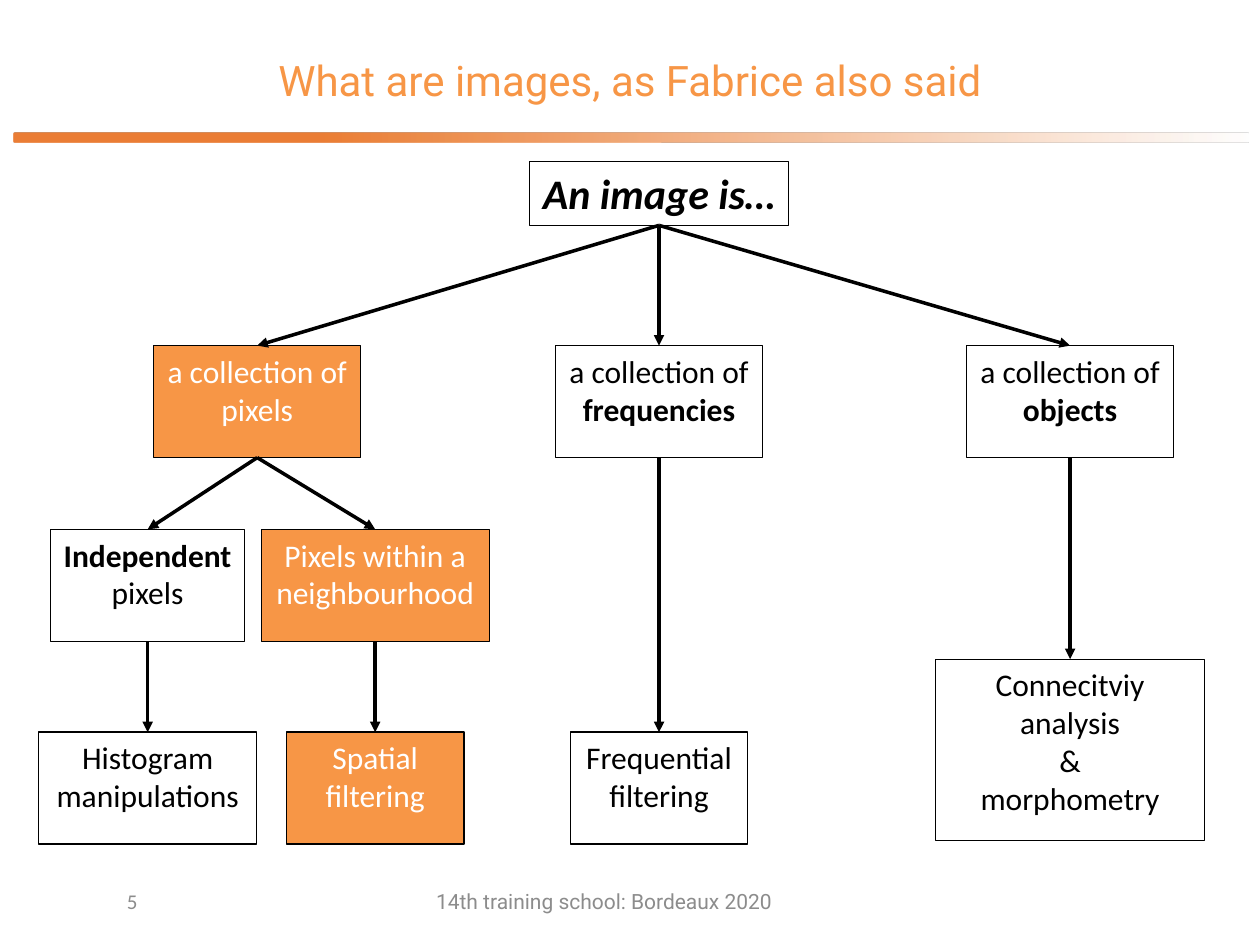
import pptx
import pptx.util
import pptx.dml.color
import pptx.enum.shapes
import pptx.enum.text
import pptx.oxml
import pptx.oxml.ns

Pt = pptx.util.Pt
RGBColor = pptx.dml.color.RGBColor
ANCHOR = pptx.enum.text.MSO_ANCHOR
ALIGN = pptx.enum.text.PP_ALIGN
SHAPE = pptx.enum.shapes.MSO_SHAPE

BLACK = RGBColor(0x00, 0x00, 0x00)
WHITE = RGBColor(0xFF, 0xFF, 0xFF)
ORANGE = RGBColor(0xF7, 0x96, 0x46)
RULE_ORANGE = RGBColor(0xE6, 0x5D, 0x00)
GREY = RGBColor(0x8C, 0x8C, 0x8C)

BOTTOM, TOP = 2, 0  # connection sites of a rectangle


def write(frame, text, *, size=18, font="Calibri", color=BLACK, align=ALIGN.CENTER,
          anchor=ANCHOR.TOP, bold_lines=(), italic=False):
    """Fill a text frame, one paragraph per line of text."""
    frame.word_wrap = True
    frame.auto_size = pptx.enum.text.MSO_AUTO_SIZE.NONE
    frame.vertical_anchor = anchor
    frame.margin_left = frame.margin_right = Pt(7.2)
    frame.margin_top = frame.margin_bottom = Pt(3.6)
    for index, line in enumerate(text.split("\n")):
        paragraph = frame.paragraphs[0] if index == 0 else frame.add_paragraph()
        paragraph.alignment = align
        run = paragraph.add_run()
        run.text = line
        run.font.size = Pt(size)
        run.font.name = font
        run.font.color.rgb = color
        run.font.bold = index in bold_lines
        run.font.italic = italic


def add_header(slide, left, top, width, height):
    # Title
    title = slide.shapes.title
    title.left, title.top = Pt(left), Pt(top)
    title.width, title.height = Pt(width), Pt(height)
    write(title.text_frame, "What are images, as Fabrice also said", size=24,
          font="Roboto", color=ORANGE, anchor=ANCHOR.MIDDLE)

    # Fading rule below the title
    rule = slide.shapes.add_shape(SHAPE.ROUNDED_RECTANGLE, Pt(left - 28.1),
                                  Pt(top + height + 6.5), Pt(width + 57.6), Pt(5.8))
    rule.shadow.inherit = False
    rule.line.fill.background()
    rule.fill.gradient()
    rule.fill.gradient_angle = 0
    stops = zip(rule.fill.gradient_stops, (0.25, 1), (RULE_ORANGE, WHITE))
    for stop, position, color in stops:
        stop.position = position
        stop.color.rgb = color
    for color_element in rule.fill._xPr.iter(pptx.oxml.ns.qn("a:srgbClr")):
        alpha = pptx.oxml.parse_xml(
            f'<a:alpha {pptx.oxml.ns.nsdecls("a")} val="79000"/>')
        color_element.append(alpha)


def add_footer(slide, left, top, width, height):
    number_width = 49.7
    parts = (
        ("5", left, number_width, "Calibri", ALIGN.RIGHT),
        ("14th training school: Bordeaux 2020", left + number_width,
         width - number_width, "Roboto", ALIGN.CENTER),
    )
    for text, part_left, part_width, font, align in parts:
        part = slide.shapes.add_textbox(Pt(part_left), Pt(top), Pt(part_width), Pt(height))
        write(part.text_frame, text, size=12, font=font, color=GREY, align=align,
              anchor=ANCHOR.MIDDLE)


def add_node(slide, text, center, top, width, height=64, highlighted=False, **text_format):
    node = slide.shapes.add_shape(SHAPE.RECTANGLE, Pt(center - width / 2), Pt(top),
                                  Pt(width), Pt(height))
    node.shadow.inherit = False
    node.line.color.rgb = BLACK
    node.line.width = Pt(0.75)
    if highlighted:
        node.fill.solid()
        node.fill.fore_color.rgb = ORANGE
    else:
        node.fill.background()
    write(node.text_frame, text, color=WHITE if highlighted else BLACK, **text_format)
    return node


def add_arrow(slide, parent, child):
    arrow = slide.shapes.add_connector(pptx.enum.shapes.MSO_CONNECTOR.STRAIGHT, 0, 0, 0, 0)
    arrow.begin_connect(parent, BOTTOM)
    arrow.end_connect(child, TOP)
    arrow.line.color.rgb = BLACK
    arrow.line.width = Pt(2)
    ns = pptx.oxml.ns.nsdecls("a")
    arrow.line._get_or_add_ln().append(
        pptx.oxml.parse_xml(f'<a:tailEnd {ns} type="triangle"/>'))
    arrow._element.spPr.append(pptx.oxml.parse_xml(f"<a:effectLst {ns}/>"))


def add_tree(slide, left, top, width, height):
    # Column centres and row tops
    independent_x, pixels_x, neighbour_x, frequency_x, object_x = (
        left + offset for offset in (62.1, 124.7, 192.1, 354.3, 589.2))
    collection_y, pixel_kind_y, method_y = (
        top + offset for offset in (105.1, 210.1, 326))
    morphometry_height = 103.7

    # Root
    image = add_node(slide, "An image is…", frequency_x, top, 148.4, 36.4,
                     size=24, bold_lines=(0,), italic=True)

    # Collections
    pixels = add_node(slide, "a collection of\npixels", pixels_x, collection_y, 118.4,
                      highlighted=True)
    frequencies = add_node(slide, "a collection of\nfrequencies", frequency_x,
                           collection_y, 118.4, bold_lines=(1,))
    objects = add_node(slide, "a collection of\nobjects", object_x, collection_y, 118.4,
                       bold_lines=(1,))

    # Kinds of pixels
    independent = add_node(slide, "Independent\npixels", independent_x, pixel_kind_y,
                           110.9, bold_lines=(0,))
    neighbourhood = add_node(slide, "Pixels within a\nneighbourhood", neighbour_x,
                             pixel_kind_y, 130.3, highlighted=True)

    # Methods
    histogram = add_node(slide, "Histogram manipulations", independent_x, method_y, 124.6)
    spatial = add_node(slide, "Spatial filtering", neighbour_x, method_y, 101.5,
                       highlighted=True)
    frequential = add_node(slide, "Frequential filtering", frequency_x, method_y, 100.8)
    morphometry = add_node(slide, "Connecitviy analysis\n&\nmorphometry", object_x,
                           top + height - morphometry_height, 154.1, morphometry_height)

    # Arrows
    for parent, child in (
        (image, pixels), (image, frequencies), (image, objects),
        (pixels, independent), (pixels, neighbourhood),
        (independent, histogram), (neighbourhood, spatial),
        (frequencies, frequential), (objects, morphometry),
    ):
        add_arrow(slide, parent, child)


def main():
    presentation = pptx.Presentation()
    presentation.slide_width, presentation.slide_height = Pt(720), Pt(540)
    title_only = presentation.slide_layouts[5]
    slide = presentation.slides.add_slide(title_only)
    add_header(slide, 36, 21.6, 648, 47.5)
    add_footer(slide, 36, 500.8, 568.8, 28.4)
    add_tree(slide, 22.3, 92.4, 666.2, 388)
    presentation.save("out.pptx")


if __name__ == "__main__":
    main()
